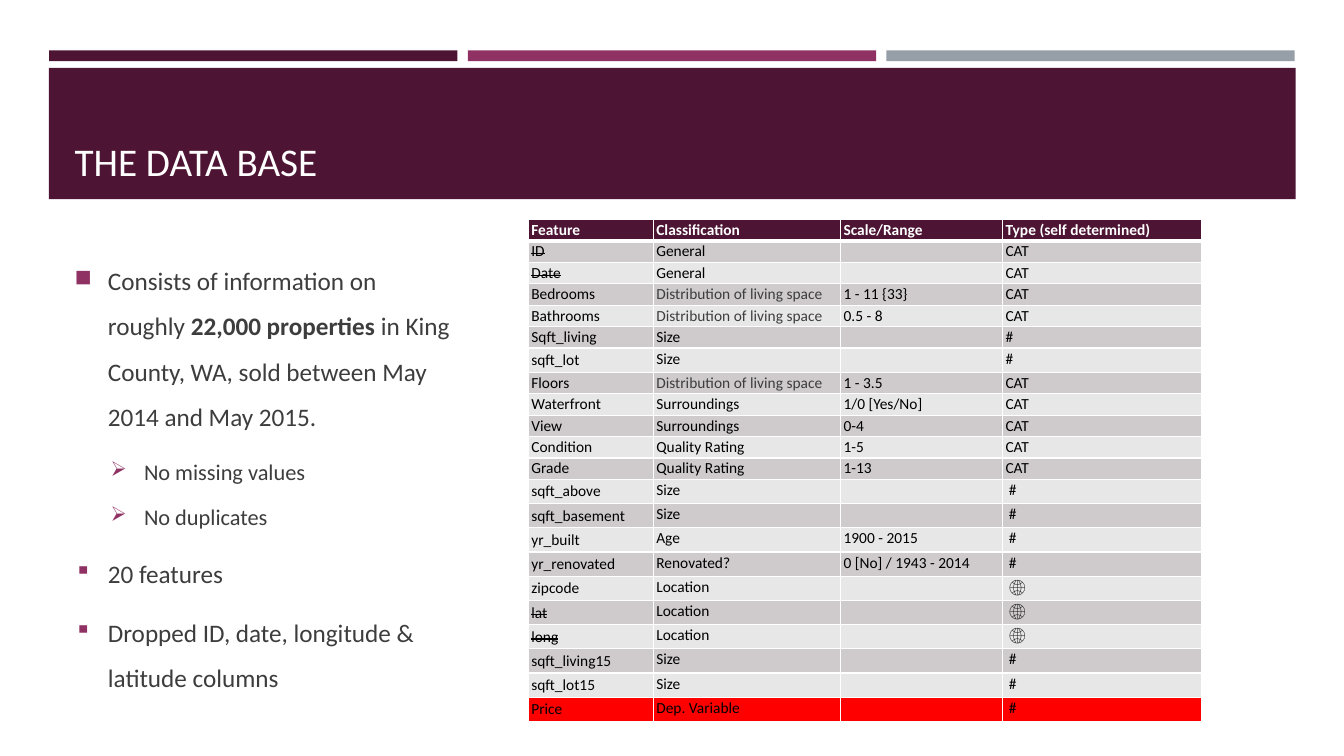
from lxml import etree
from pptx import Presentation
from pptx.dml.color import RGBColor
from pptx.enum.shapes import MSO_SHAPE
from pptx.enum.text import MSO_ANCHOR
from pptx.oxml.ns import qn
from pptx.util import Cm, Pt

RECT = MSO_SHAPE.RECTANGLE
BOTTOM, MIDDLE = MSO_ANCHOR.BOTTOM, MSO_ANCHOR.MIDDLE

PLUM = RGBColor(0x4D, 0x14, 0x34)
BERRY = RGBColor(0x90, 0x31, 0x63)
STEEL = RGBColor(0x96, 0x9F, 0xA7)
WHITE = RGBColor(0xFF, 0xFF, 0xFF)
BLACK = RGBColor(0, 0, 0)
INK = RGBColor(0x3D, 0x3D, 0x3D)
DARK = RGBColor(0xCF, 0xCA, 0xCC)
LIGHT = RGBColor(0xE8, 0xE7, 0xE7)
RED = RGBColor(0xFF, 0, 0)

SPACE = "Distribution of living space"
ROWS = [
    ("Feature", "Classification", "Scale/Range", "Type (self determined)"),
    ("ID", "General", "", "CAT"),
    ("Date", "General", "", "CAT"),
    ("Bedrooms", SPACE, "1 - 11 {33}", "CAT"),
    ("Bathrooms", SPACE, "0.5 - 8", "CAT"),
    ("Sqft_living", "Size", "", "#"),
    ("sqft_lot", "Size", "", "#"),
    ("Floors", SPACE, "1 - 3.5", "CAT"),
    ("Waterfront", "Surroundings", "1/0 [Yes/No]", "CAT"),
    ("View", "Surroundings", "0-4", "CAT"),
    ("Condition", "Quality Rating", "1-5", "CAT"),
    ("Grade", "Quality Rating", "1-13", "CAT"),
    ("sqft_above", "Size", "", " #"),
    ("sqft_basement", "Size", "", " #"),
    ("yr_built", "Age", "1900 - 2015", " #"),
    ("yr_renovated", "Renovated?", "0 [No] / 1943 - 2014", " #"),
    ("zipcode", "Location", "", " 🌐"),
    ("lat", "Location", "", " 🌐"),
    ("long", "Location", "", " 🌐"),
    ("sqft_living15", "Size", "", " #"),
    ("sqft_lot15", "Size", "", " #"),
    ("Price", "Dep. Variable", "", " #"),
]
WIDTHS = (3.15, 4.72, 4.08, 5.01)
DROPPED = {"ID", "Date", "lat", "long"}

# Level, bullet, space after, runs as (text, bold)
POINTS = [
    (0, "■", 6, [("Consists of information on roughly ", False),
                 ("22,000 properties ", True),
                 ("in King County, WA, sold between May 2014 and May 2015.", False)]),
    (1, "➢", 0, [("No missing values", False)]),
    (1, "➢", 6, [("No duplicates", False)]),
    (0, "▪", 6, [("20 features", False)]),
    (0, "▪", 6, [("Dropped ID, date, longitude & latitude columns", False)]),
]


def write(para, text, size=11, color=BLACK, bold=False, strike=False):
    run = para.add_run()
    run.text = text
    font = run.font
    font.name, font.size, font.bold = "Calibri", Pt(size), bold
    font.color.rgb = color
    if strike:
        run._r.get_or_add_rPr().set("strike", "sngStrike")


def bar(slide, left, top, width, height, color):
    shape = slide.shapes.add_shape(RECT, Cm(left), Cm(top), Cm(width), Cm(height))
    shape.shadow.inherit = False
    shape.fill.solid()
    shape.fill.fore_color.rgb = color
    shape.line.fill.background()


def box(slide, left, top, width, height, anchor):
    shape = slide.shapes.add_textbox(Cm(left), Cm(top), Cm(width), Cm(height))
    frame = shape.text_frame
    frame.word_wrap = True
    frame.vertical_anchor = anchor
    return frame


def bullet(para, level, char):
    props = para._p.get_or_add_pPr()
    props.set("marL", str(Cm(1.75 if level else 0.84)))
    props.set("indent", str(Cm(-0.84)))
    color = etree.SubElement(props, qn("a:buClr"))
    etree.SubElement(color, qn("a:srgbClr"), val=str(BERRY))
    etree.SubElement(props, qn("a:buSzPct"), val="92000")
    etree.SubElement(props, qn("a:buChar"), char=char)


def points(slide):
    frame = box(slide, 1.63, 6.05, 9.98, 11.66, MIDDLE)
    for i, (level, char, after, runs) in enumerate(POINTS):
        para = frame.add_paragraph() if i else frame.paragraphs[0]
        size = 16 if level else 18
        para.level = level
        para.line_spacing = 1.5
        para.space_before = Pt(size * 0.2 if i else 0)
        para.space_after = Pt(after)
        bullet(para, level, char)
        for text, bold in runs:
            write(para, text, size, INK, bold)


def border(cell, side, width):
    line = etree.Element(qn("a:" + side), w=str(Pt(width)))
    fill = etree.SubElement(line, qn("a:solidFill"))
    etree.SubElement(fill, qn("a:srgbClr"), val=str(WHITE))
    return line


def style(cell, fill, pad, top, base):
    cell.margin_left = cell.margin_right = Cm(0.07)
    cell.margin_top = cell.margin_bottom = Cm(pad)
    cell.fill.solid()
    cell.fill.fore_color.rgb = fill
    props = cell._tc.get_or_add_tcPr()
    sides = (("lnL", 1), ("lnR", 1), ("lnT", top), ("lnB", base))
    for i, (side, width) in enumerate(sides):
        props.insert(i, border(cell, side, width))


def table(slide):
    frame = slide.shapes.add_table(len(ROWS), len(WIDTHS), Cm(13.32), Cm(5.53),
                                   Cm(sum(WIDTHS)), Cm(12.65))
    grid = frame.table
    for col, width in zip(grid.columns, WIDTHS):
        col.width = Cm(width)
    for r, row in enumerate(ROWS):
        tall = r == 6 or r >= 12
        grid.rows[r].height = Cm(0.61 if tall else 0.54)
        fill = DARK if r % 2 else LIGHT
        if r == 0:
            fill = PLUM
        elif row[0] == "Price":
            fill = RED
        for c, text in enumerate(row):
            cell = grid.cell(r, c)
            pad = 0.07 if tall and c == 0 else 0.03
            style(cell, fill, pad, 3 if r == 1 else 1, 3 if r == 0 else 1)
            para = cell.text_frame.paragraphs[0]
            color = WHITE if r == 0 else INK if text == SPACE else BLACK
            if text:
                write(para, text, color=color, bold=r == 0, strike=text in DROPPED)
            else:
                etree.SubElement(para._p, qn("a:endParaRPr"), sz="1100")


def main():
    deck = Presentation()
    deck.slide_width, deck.slide_height = Cm(33.87), Cm(19.05)
    slide = deck.slides.add_slide(deck.slide_layouts[6])

    # Header bars and title band
    for i, color in enumerate((PLUM, BERRY, STEEL)):
        bar(slide, 1.24 + i * 10.55, 1.27, 10.29, 0.27, color)
    bar(slide, 1.23, 1.71, 31.42, 3.31, PLUM)
    title = box(slide, 1.63, 1.96, 30.63, 2.82, BOTTOM)
    write(title.paragraphs[0], "THE DATA BASE", 28, WHITE)

    # Key points and feature table
    points(slide)
    table(slide)
    deck.save("out.pptx")


if __name__ == "__main__":
    main()
